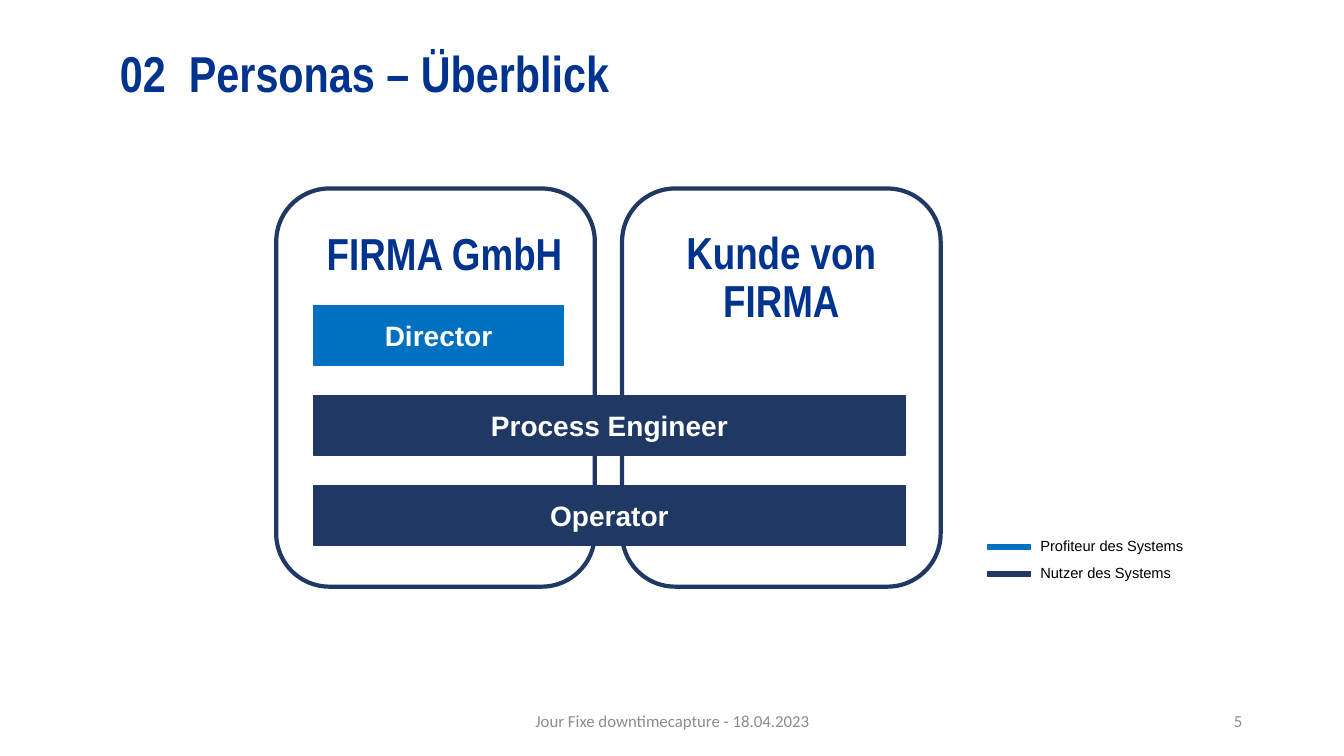
from pptx import Presentation
from pptx.dml.color import RGBColor
from pptx.enum.shapes import MSO_SHAPE
from pptx.enum.text import MSO_ANCHOR, MSO_AUTO_SIZE, PP_ALIGN
from pptx.util import Inches, Pt

NAVY = RGBColor(0x20, 0x38, 0x64)
AZURE = RGBColor(0x00, 0x70, 0xC0)
ROYAL = RGBColor(0x00, 0x33, 0x8D)
GREY = RGBColor(0x8C, 0x8C, 0x8C)
WHITE = RGBColor(0xFF, 0xFF, 0xFF)
BLACK = RGBColor(0x00, 0x00, 0x00)

TITLE = {"name": "Arial Narrow", "size": Pt(36), "bold": True, "color": ROYAL}
HEADING = {"name": "Arial Narrow", "size": Pt(32), "bold": True, "color": ROYAL}
ROLE = {"name": "Arial", "size": Pt(20), "bold": True, "color": WHITE}
KEY = {"name": "Arial", "size": Pt(10.5), "bold": False, "color": BLACK}
FOOTER = {"name": "Calibri", "size": Pt(12), "bold": False, "color": GREY}


def write(holder, wording, style, align=PP_ALIGN.LEFT, spacing=1.0):
    frame = holder.text_frame
    frame_format = {
        "text": wording,
        "word_wrap": True,
        "auto_size": MSO_AUTO_SIZE.NONE,
        "vertical_anchor": MSO_ANCHOR.MIDDLE,
    }
    for attribute, value in frame_format.items():
        setattr(frame, attribute, value)
    paragraph = frame.paragraphs[0]
    paragraph.alignment = align
    paragraph.line_spacing = spacing
    font = paragraph.runs[0].font
    for attribute, value in style.items():
        if attribute == "color":
            font.color.rgb = value
        else:
            setattr(font, attribute, value)


def add_label(slide, box, wording, style, align=PP_ALIGN.LEFT, spacing=1.0):
    label = slide.shapes.add_textbox(*map(Inches, box))
    write(label, wording, style, align, spacing)


def add_block(slide, box, kind, fill, line, width):
    block = slide.shapes.add_shape(kind, *map(Inches, box))
    block.shadow.inherit = False
    if fill is None:
        block.fill.background()
    else:
        block.fill.solid()
        block.fill.fore_color.rgb = fill
    block.line.color.rgb = line
    block.line.width = Pt(width)
    return block


def add_title(slide, box):
    title = slide.shapes.title
    for side, length in zip(("left", "top", "width", "height"), box):
        setattr(title, side, Inches(length))
    write(title, "02  Personas – Überblick", TITLE, spacing=0.9)


def add_organisations(slide, box):
    left, top, width, height = box
    gap = 0.27
    panel_width = (width - gap) / 2
    headings = [("FIRMA GmbH", 0.09, 0.72), ("Kunde von FIRMA", 0, 1.18)]
    for column, (heading, shift, heading_height) in enumerate(headings):
        panel_left = left + column * (panel_width + gap)
        add_block(slide, (panel_left, top, panel_width, height),
                  MSO_SHAPE.ROUNDED_RECTANGLE, None, NAVY, 3)
        add_label(slide, (panel_left + shift, top + 0.31, panel_width, heading_height),
                  heading, HEADING, PP_ALIGN.CENTER, 0.9)


def add_roles(slide, box):
    left, top, width, height = box
    roles = [("Director", 2.48, AZURE), ("Process Engineer", width, NAVY),
             ("Operator", width, NAVY)]
    bar_height = 0.59
    pitch = (height - bar_height) / (len(roles) - 1)
    for row, (role, role_width, color) in enumerate(roles):
        bar = add_block(slide, (left, top + row * pitch, role_width, bar_height),
                        MSO_SHAPE.RECTANGLE, color, color, 1)
        write(bar, role, ROLE, PP_ALIGN.CENTER)


def add_legend(slide, box):
    left, top, width, height = box
    entries = [("Profiteur des Systems", AZURE), ("Nutzer des Systems", NAVY)]
    pitch = height / len(entries)
    swatch_width = 0.42
    for row, (meaning, color) in enumerate(entries):
        entry_top = top + row * pitch
        add_block(slide, (left, entry_top + 0.13, swatch_width, 0.05),
                  MSO_SHAPE.RECTANGLE, color, color, 1)
        add_label(slide, (left + swatch_width, entry_top, width - swatch_width, 0.28),
                  meaning, KEY)


def add_footer(slide, box):
    left, top, width, height = box
    number_width = 3
    add_label(slide, (left, top, 4.5, height),
              "Jour Fixe downtimecapture - 18.04.2023", FOOTER, PP_ALIGN.CENTER)
    add_label(slide, (left + width - number_width, top, number_width, height),
              "5", FOOTER, PP_ALIGN.RIGHT)


def main():
    presentation = Presentation()
    presentation.slide_width = Inches(13.33)
    presentation.slide_height = Inches(7.5)
    slide = presentation.slides.add_slide(presentation.slide_layouts[5])
    add_title(slide, (1.09, 0.47, 11.16, 0.58))
    add_organisations(slide, (2.74, 1.87, 6.59, 3.95))
    add_roles(slide, (3.11, 3.03, 5.87, 2.38))
    add_legend(slide, (9.8, 5.27, 2.27, 0.54))
    add_footer(slide, (4.42, 6.95, 8, 0.4))
    presentation.save("out.pptx")


if __name__ == "__main__":
    main()
